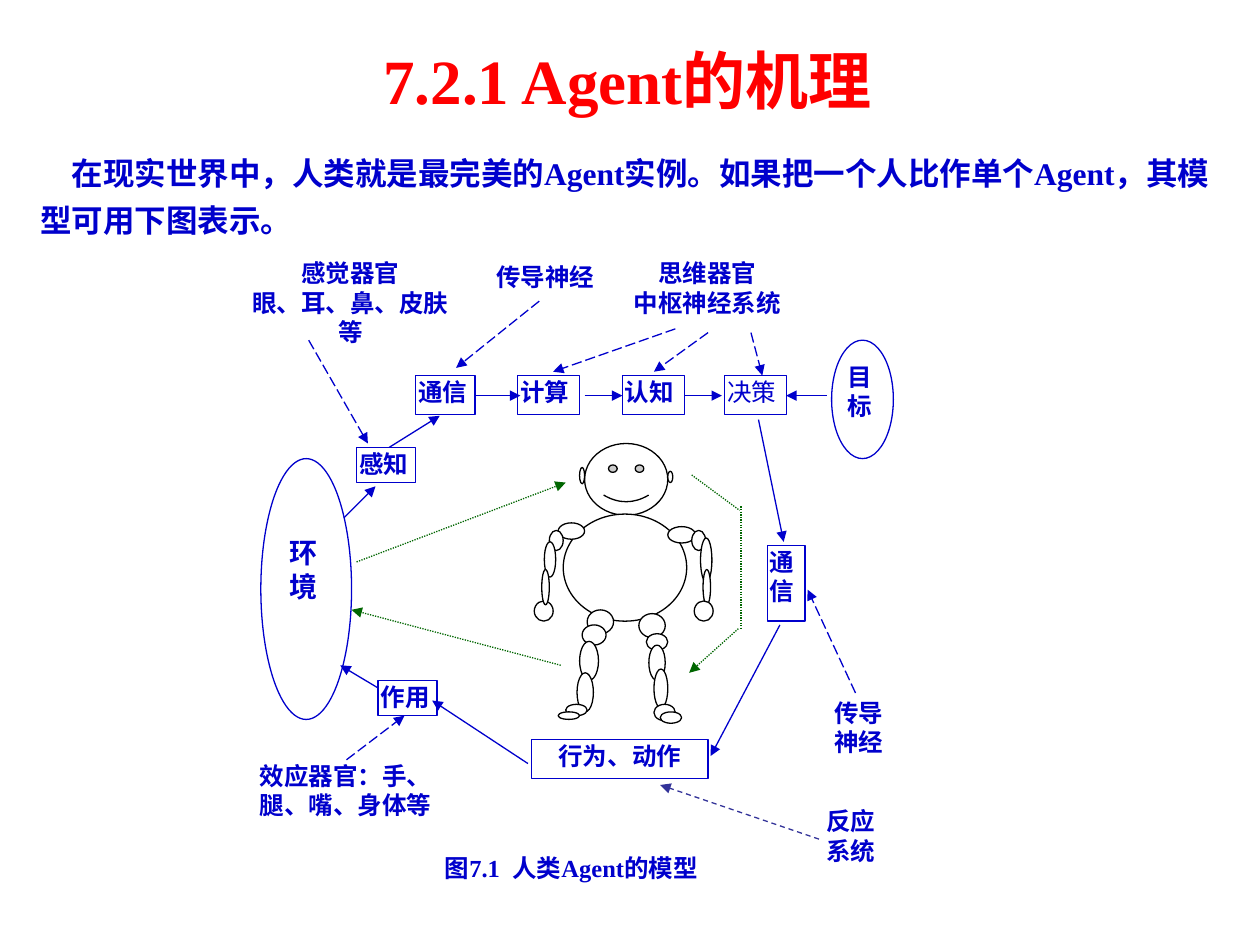
from lxml.etree import SubElement
from pptx import Presentation
from pptx.dml.color import RGBColor
from pptx.enum.dml import MSO_LINE
from pptx.enum.shapes import MSO_CONNECTOR, MSO_SHAPE
from pptx.enum.text import MSO_ANCHOR, MSO_AUTO_SIZE, PP_ALIGN
from pptx.oxml.ns import qn
from pptx.util import Inches, Pt

COLORS = {"title": "FF0000", "blue": "0000CC", "green": "006600",
          "violet": "333399", "black": "000000", "white": "FFFFFF"}
FONT = "Times New Roman"
LEFT, CENTER, JUSTIFY = PP_ALIGN.LEFT, PP_ALIGN.CENTER, PP_ALIGN.JUSTIFY

# Body parts of the robot: left, top, width, height
TORSO_AND_EARS = [(4.47, 4.08, 0.98, 0.85), (5.3, 3.74, 0.04, 0.09), (4.6, 3.71, 0.04, 0.13)]
LEFT_ARM = [(4.43, 4.15, 0.21, 0.13), (4.36, 4.21, 0.11, 0.16), (4.32, 4.3, 0.09, 0.28),
            (4.24, 4.77, 0.15, 0.16), (4.3, 4.52, 0.06, 0.28)]
RIGHT_ARM = [(5.3, 4.18, 0.22, 0.13), (5.49, 4.21, 0.11, 0.16), (5.56, 4.27, 0.09, 0.35),
             (5.58, 4.52, 0.06, 0.28), (5.51, 4.77, 0.15, 0.16)]
LEFT_LEG = [(4.66, 4.84, 0.21, 0.19), (4.62, 4.96, 0.19, 0.16), (4.6, 5.09, 0.15, 0.31),
            (4.58, 5.34, 0.13, 0.31), (4.49, 5.59, 0.17, 0.09), (4.43, 5.65, 0.17, 0.06)]
RIGHT_LEG = [(5.07, 4.87, 0.21, 0.19), (5.13, 5.03, 0.17, 0.13), (5.15, 5.12, 0.13, 0.28),
             (5.19, 5.31, 0.11, 0.31), (5.19, 5.59, 0.17, 0.13), (5.24, 5.65, 0.17, 0.09)]

# Framed steps of the model: lines, place, alignment, bold
STEPS = [
    (["感知"], (2.83, 3.55, 0.47, 0.28), JUSTIFY, True),
    (["通信"], (3.3, 2.98, 0.47, 0.31), JUSTIFY, True),
    (["计算"], (4.11, 2.98, 0.49, 0.31), JUSTIFY, True),
    (["认知"], (4.94, 2.98, 0.49, 0.31), JUSTIFY, True),
    (["决策"], (5.75, 2.98, 0.49, 0.31), JUSTIFY, False),
    (["通", "信"], (6.09, 4.33, 0.3, 0.6), JUSTIFY, True),
    (["行为、动作"], (4.22, 5.87, 1.4, 0.31), CENTER, True),
    (["作用"], (3, 5.4, 0.47, 0.28), JUSTIFY, True),
]

# Unframed labels: lines, place, alignment, size
LABELS = [
    (["环", "境"], (2.28, 4.24, 0.28, 0.69), JUSTIFY, 16),
    (["目标"], (6.71, 2.86, 0.28, 0.63), JUSTIFY, 14),
    (["感觉器官", "眼、耳、鼻、皮肤等"], (1.94, 2.04, 1.68, 0.6), CENTER, 14),
    (["传导神经"], (3.92, 2.07, 0.86, 0.31), JUSTIFY, 14),
    (["思维器官", "中枢神经系统"], (5, 2.04, 1.23, 0.6), CENTER, 14),
    (["传导", "神经"], (6.6, 5.53, 0.47, 0.63), JUSTIFY, 14),
    (["效应器官：手、", "腿、嘴、身体等"], (2.04, 6.03, 1.47, 0.6), JUSTIFY, 14),
    (["图7.1  人类Agent的模型"], (3.51, 6.76, 2.3, 0.31), JUSTIFY, 14),
]

# Lines: from x, from y, to x, to y
FLOW = [(2.73, 4.11, 2.98, 3.86), (3.09, 3.55, 3.49, 3.3), (3.77, 3.14, 4.13, 3.14),
        (4.64, 3.14, 4.94, 3.14), (5.43, 3.14, 5.73, 3.14), (6.56, 3.14, 6.24, 3.14),
        (6.02, 3.33, 6.22, 4.3), (6.19, 4.96, 5.64, 6), (4.19, 6.06, 3.43, 5.56),
        (3, 5.46, 2.7, 5.28)]
POINTERS = [(2.45, 2.7, 2.92, 3.52), (4.28, 2.39, 3.62, 2.92), (5.36, 2.61, 4.39, 2.95),
            (5.62, 2.64, 5.19, 2.95), (5.96, 2.64, 6.05, 2.98), (6.79, 5.5, 6.41, 4.68),
            (2.75, 6.03, 3.21, 5.68)]
SIGNALS = [(2.83, 4.46, 4.49, 3.83), (4.45, 5.28, 2.79, 4.84), (5.86, 4.99, 5.47, 5.34)]
SIGNAL_BENDS = [(5.49, 3.77, 5.87, 4.05), (5.88, 4.02, 5.88, 4.99)]


def rgb(name):
    return RGBColor.from_string(COLORS[name])


def write(frame, lines, size, color="blue", align=LEFT, bold=True):
    frame.word_wrap = True
    frame.auto_size = MSO_AUTO_SIZE.NONE
    frame.vertical_anchor = MSO_ANCHOR.TOP
    for index, line in enumerate(lines):
        paragraph = frame.add_paragraph() if index else frame.paragraphs[0]
        paragraph.alignment = align
        run = paragraph.add_run()
        run.text = line
        run.font.name = FONT
        run.font.size = Pt(size)
        run.font.bold = bold
        run.font.color.rgb = rgb(color)


def add_outline(slide, kind, place, line=None):
    shape = slide.shapes.add_shape(kind, *map(Inches, place))
    shape.shadow.inherit = False
    shape.fill.solid()
    shape.fill.fore_color.rgb = rgb("white")
    if line:
        shape.line.color.rgb = rgb(line)
        shape.line.width = Pt(0.75)
    else:
        shape.line.fill.background()
    return shape


def add_box(slide, lines, place, align, size=14, bold=True, line=None):
    frame = add_outline(slide, MSO_SHAPE.RECTANGLE, place, line).text_frame
    frame.margin_left = frame.margin_right = Inches(0.02)
    frame.margin_top = frame.margin_bottom = Inches(0.01)
    write(frame, lines, size, align=align, bold=bold)


def add_text(slide, lines, place, size):
    frame = slide.shapes.add_textbox(*map(Inches, place)).text_frame
    write(frame, lines, size)
    return frame.paragraphs[0]


def add_line(slide, ends, color="blue", dash=None, arrow=True):
    connector = slide.shapes.add_connector(MSO_CONNECTOR.STRAIGHT, *map(Inches, ends))
    connector.line.color.rgb = rgb(color)
    connector.line.width = Pt(0.75)
    if dash:
        connector.line.dash_style = dash
    properties = connector._element.spPr
    if arrow:
        SubElement(properties.find(qn("a:ln")), qn("a:tailEnd"), type="triangle")
    SubElement(properties, qn("a:effectLst"))


def add_title(slide, text):
    title = slide.shapes.title
    title.left, title.top, title.width, title.height = map(Inches, (0.35, 0.28, 9.26, 0.7))
    write(title.text_frame, [text], 36, "title", CENTER)


def add_robot(slide):
    head = add_outline(slide, MSO_SHAPE.SMILEY_FACE, (4.64, 3.52, 0.66, 0.57), "black")
    head.adjustments[0] = 0.09
    for place in TORSO_AND_EARS + LEFT_ARM + RIGHT_ARM + LEFT_LEG + RIGHT_LEG:
        add_outline(slide, MSO_SHAPE.OVAL, place, "black")


def main():
    presentation = Presentation()
    presentation.slide_width, presentation.slide_height = Inches(10), Inches(7.5)
    slide = presentation.slides.add_slide(presentation.slide_layouts[5])

    # Title and introduction
    add_title(slide, "7.2.1 Agent的机理")
    intro = add_text(slide, ["在现实世界中，人类就是最完美的Agent实例。"
                             "如果把一个人比作单个Agent，其模型可用下图表示。"],
                     (0.22, 1.1, 9.61, 0.85), 18)
    intro.line_spacing = 1.25
    intro._p.get_or_add_pPr().set("indent", str(Inches(0.25)))

    # Robot, environment and goal
    add_robot(slide)
    for place in [(2.07, 3.64, 0.72, 2.07), (6.6, 2.7, 0.49, 0.94)]:
        add_outline(slide, MSO_SHAPE.OVAL, place, "blue")

    # Labels and steps
    for lines, place, align, size in LABELS:
        add_box(slide, lines, place, align, size)
    for lines, place, align, bold in STEPS:
        add_box(slide, lines, place, align, bold=bold, line="blue")
    add_text(slide, ["反应", "系统"], (6.46, 6.35, 0.63, 0.57), 14)

    # Arrows
    for ends in FLOW:
        add_line(slide, ends)
    for ends in POINTERS:
        add_line(slide, ends, dash=MSO_LINE.LONG_DASH)
    for ends in SIGNALS + SIGNAL_BENDS:
        add_line(slide, ends, "green", MSO_LINE.ROUND_DOT, arrow=ends in SIGNALS)
    add_line(slide, (6.5, 6.66, 5.24, 6.23), "violet", MSO_LINE.DASH)

    presentation.save("out.pptx")


if __name__ == "__main__":
    main()
